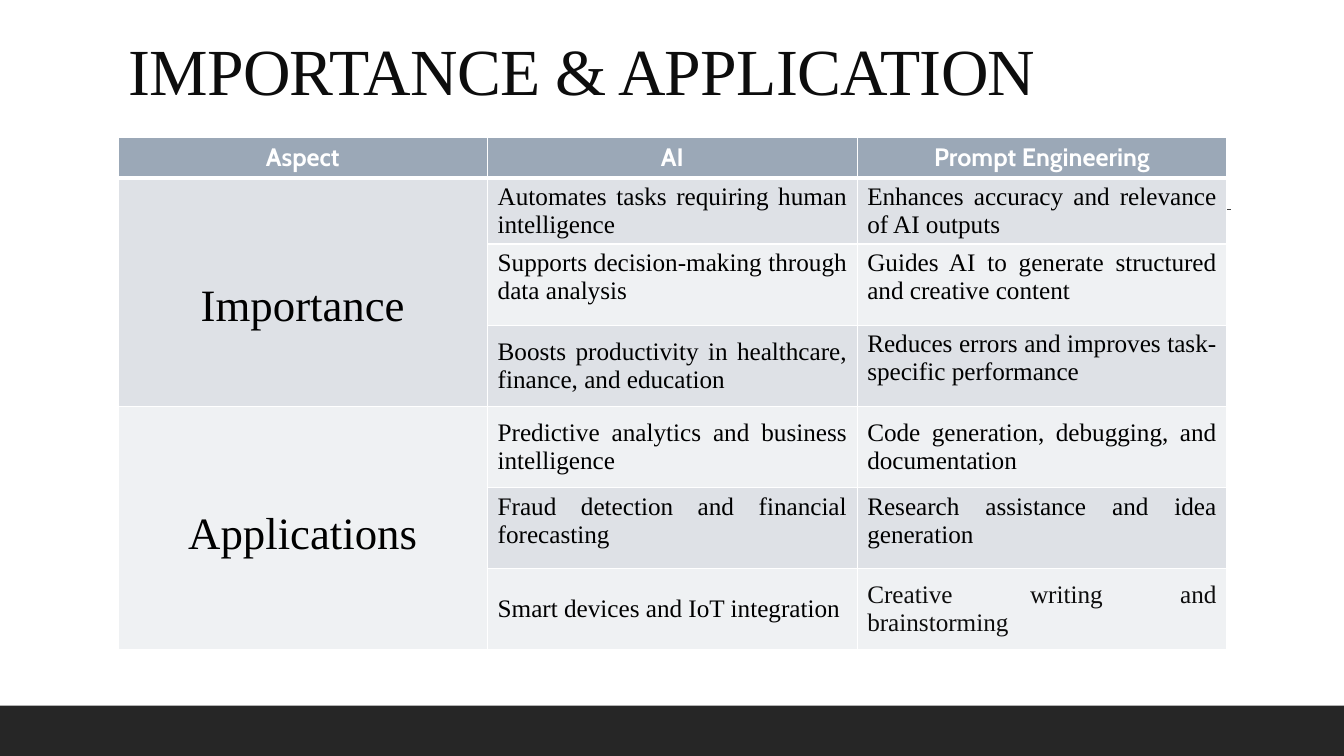
from lxml import etree
from pptx import Presentation
from pptx.dml.color import RGBColor
from pptx.enum.shapes import MSO_CONNECTOR, MSO_SHAPE
from pptx.enum.text import MSO_ANCHOR, MSO_AUTO_SIZE, PP_ALIGN
from pptx.oxml.ns import qn
from pptx.util import Pt

LEFT, CENTER, JUSTIFY = PP_ALIGN.LEFT, PP_ALIGN.CENTER, PP_ALIGN.JUSTIFY
TOP, MIDDLE, BOTTOM = MSO_ANCHOR.TOP, MSO_ANCHOR.MIDDLE, MSO_ANCHOR.BOTTOM
RECTANGLE, STRAIGHT = MSO_SHAPE.RECTANGLE, MSO_CONNECTOR.STRAIGHT
NO_AUTOFIT = MSO_AUTO_SIZE.NONE

WHITE = RGBColor(0xFF, 0xFF, 0xFF)
BLACK = RGBColor(0x00, 0x00, 0x00)
INK = RGBColor(0x0D, 0x0D, 0x0D)
CHARCOAL = RGBColor(0x26, 0x26, 0x26)
RULE_GRAY = RGBColor(0x40, 0x40, 0x40)
HEADER_BLUE = RGBColor(0x9B, 0xA8, 0xB7)
BAND_DARK = RGBColor(0xDE, 0xE1, 0xE6)
BAND_LIGHT = RGBColor(0xEF, 0xF1, 0xF3)

SERIF, SANS = "Times New Roman", "Cabin"

HEADER_FONT = {"name": SANS, "size": Pt(18), "bold": True}
ASPECT_FONT = {"name": SERIF, "size": Pt(32), "bold": False}
BODY_FONT = {"name": SERIF, "size": Pt(18), "bold": False}
TITLE_FONT = {"name": SERIF, "size": Pt(47), "bold": False}

HEADERS = ["Aspect", "AI", "Prompt Engineering"]
ASPECTS = {1: "Importance", 4: "Applications"}
POINTS = [
    [("Automates tasks requiring human intelligence", TOP),
     ("Enhances accuracy and relevance of AI outputs", TOP)],
    [("Supports decision-making through data analysis", TOP),
     ("Guides AI to generate structured and creative content", TOP)],
    [("Boosts productivity in healthcare, finance, and education", MIDDLE),
     ("Reduces errors and improves task-specific performance", TOP)],
    [("Predictive analytics and business intelligence", MIDDLE),
     ("Code generation, debugging, and documentation", MIDDLE)],
    [("Fraud detection and financial forecasting", TOP),
     ("Research assistance and idea generation", TOP)],
    [("Smart devices and IoT integration", MIDDLE),
     ("Creative writing and brainstorming", MIDDLE)],
]
ROW_HEIGHTS = [28.8, 47] + [58] * 5
COLUMN_WIDTH = 264


def write(holder, text, font, color, align, anchor):
    holder.vertical_anchor = anchor
    paragraph = holder.text_frame.paragraphs[0] if hasattr(holder, "text_frame") else holder.paragraphs[0]
    paragraph.alignment = align
    run = paragraph.add_run()
    run.text = text
    for attribute, value in font.items():
        setattr(run.font, attribute, value)
    run.font.color.rgb = color
    return run


def paint(cell, fill, bottom_width):
    properties = cell._tc.get_or_add_tcPr()
    for side, width in {"lnL": 1, "lnR": 1, "lnT": 1, "lnB": bottom_width}.items():
        border = etree.SubElement(properties, qn(f"a:{side}"), w=str(Pt(width)))
        solid = etree.SubElement(border, qn("a:solidFill"))
        etree.SubElement(solid, qn("a:srgbClr"), val=str(WHITE))
    cell.fill.solid()
    cell.fill.fore_color.rgb = fill


prs = Presentation()
prs.slide_width, prs.slide_height = Pt(960), Pt(540)
slide = prs.slides.add_slide(prs.slide_layouts[5])

footer_band = slide.shapes.add_shape(RECTANGLE, Pt(0), Pt(504), Pt(960), Pt(36))
footer_band.shadow.inherit = False
footer_band.fill.solid()
footer_band.fill.fore_color.rgb = CHARCOAL
footer_band.line.fill.background()

title_rule = slide.shapes.add_connector(STRAIGHT, Pt(94), Pt(149.6), Pt(879), Pt(149.6))
title_rule.line.color.rgb = RULE_GRAY
title_rule.line.width = Pt(1)
etree.SubElement(title_rule._element.spPr, qn("a:effectLst"))

title = slide.shapes.title
title.left, title.top, title.width, title.height = Pt(84.3), Pt(20.2), Pt(792), Pt(62)
title.text_frame.auto_size = NO_AUTOFIT
title.text_frame.word_wrap = True
title_run = write(title.text_frame, "IMPORTANCE & APPLICATION", TITLE_FONT, INK, LEFT, BOTTOM)
title_run.font._element.set("spc", "-50")
title.text_frame.paragraphs[0].line_spacing = 0.9

table = slide.shapes.add_table(
    len(ROW_HEIGHTS), len(HEADERS), Pt(84.3), Pt(98),
    Pt(COLUMN_WIDTH * len(HEADERS)), Pt(sum(ROW_HEIGHTS))).table
table.horz_banding = False
for column in table.columns:
    column.width = Pt(COLUMN_WIDTH)
for row, height in zip(table.rows, ROW_HEIGHTS):
    row.height = Pt(height)

for column_index, header in enumerate(HEADERS):
    cell = table.cell(0, column_index)
    paint(cell, HEADER_BLUE, 3)
    write(cell, header, HEADER_FONT, WHITE, CENTER, MIDDLE)

for row_index, points in enumerate(POINTS, start=1):
    band = BAND_DARK if row_index % 2 else BAND_LIGHT
    aspect_band = BAND_DARK if row_index < 4 else BAND_LIGHT
    paint(table.cell(row_index, 0), aspect_band, 1)
    for column_index, (point, anchor) in enumerate(points, start=1):
        cell = table.cell(row_index, column_index)
        paint(cell, band, 1)
        color = INK if (row_index, column_index) == (6, 2) else BLACK
        write(cell, point, BODY_FONT, color, JUSTIFY, anchor)

for first_row, aspect in ASPECTS.items():
    cell = table.cell(first_row, 0)
    cell.merge(table.cell(first_row + 2, 0))
    cell.margin_top = Pt(74)
    write(cell, aspect, ASPECT_FONT, BLACK, CENTER, TOP)

prs.save("out.pptx")
